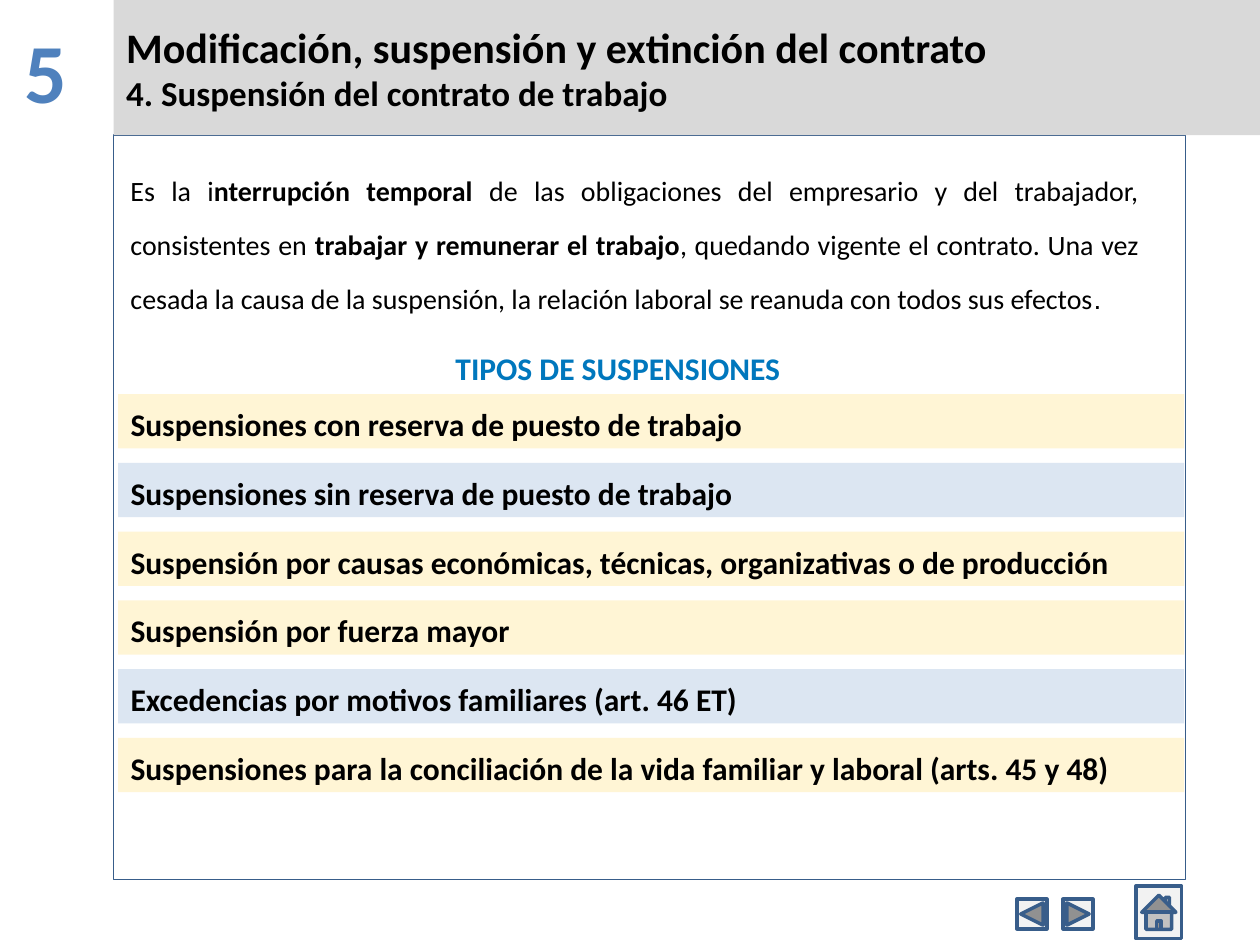
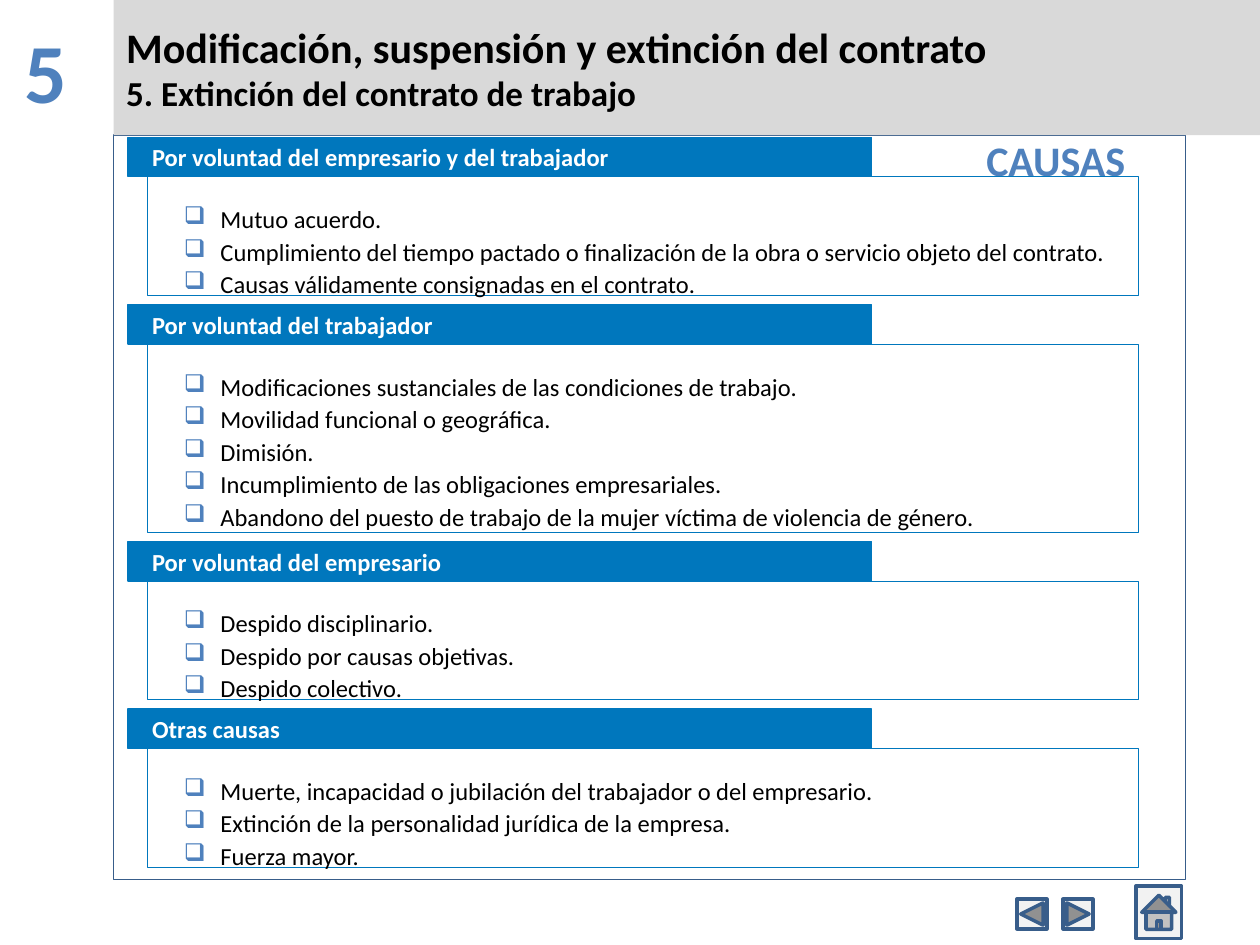
from pptx import Presentation
from pptx.dml.color import RGBColor
from pptx.enum import shapes, text
from pptx.oxml.ns import qn
from pptx.util import Pt
from lxml import etree

hues = {
    "ink": "000000", "white": "FFFFFF", "band": "D9D9D9", "edge": "385D8A",
    "key": "F2F2F2", "mark": "4F81BD", "blue": "0077BD",
    "sand": "FFEAA7", "sky": "DCE6F2",
}
kind = shapes.MSO_SHAPE
side = text.PP_ALIGN
mid = text.MSO_ANCHOR.MIDDLE
low = text.MSO_ANCHOR.BOTTOM


def draw(page, form, box, fill=None, line=None, width=0.75):
    item = page.shapes.add_shape(form, *[Pt(n) for n in box])
    item.shadow.inherit = False
    if fill:
        item.fill.solid()
        item.fill.fore_color.rgb = RGBColor.from_string(hues[fill])
    else:
        item.fill.background()
    if line:
        item.line.color.rgb = RGBColor.from_string(hues[line])
        item.line.width = Pt(width)
    else:
        item.line.fill.background()
    return item


def write(item, *paras, size=18, color="ink", bold=False, align=side.LEFT,
          anchor=text.MSO_ANCHOR.TOP, pad=(7.2, 3.6, 7.2, 3.6), lead=None,
          gap=0, bullet=None):
    frame = item.text_frame
    frame.word_wrap = True
    frame.vertical_anchor = anchor
    (frame.margin_left, frame.margin_top,
     frame.margin_right, frame.margin_bottom) = [Pt(n) for n in pad]
    for i, runs in enumerate(paras):
        para = frame.paragraphs[0] if i == 0 else frame.add_paragraph()
        para.alignment = align
        if lead:
            para.line_spacing = lead
        if gap and i:
            para.space_before = Pt(gap)
        if bullet:
            props = para._p.get_or_add_pPr()
            props.set("marL", str(Pt(41.8)))
            props.set("indent", str(Pt(-20.9)))
            tint = etree.SubElement(props, qn("a:buClr"))
            etree.SubElement(tint, qn("a:srgbClr"), val=hues["mark"])
            etree.SubElement(props, qn("a:buChar"), char=bullet)
        for part in [(runs, {})] if isinstance(runs, str) else runs:
            words, look = part
            run = para.add_run()
            run.text = words
            font = run.font
            font.name = look.get("font", "Calibri")
            font.size = Pt(look.get("size", size))
            font.bold = look.get("bold", bold)
            font.color.rgb = RGBColor.from_string(hues[color])


deck = Presentation()
deck.slide_width, deck.slide_height = Pt(720), Pt(540)

heads = ["4. Suspensión del contrato de trabajo", "5. Extinción del contrato de trabajo"]
keys = [
    (kind.ACTION_BUTTON_BACK_OR_PREVIOUS, (581.2, 513.8, 17, 17)),
    (kind.ACTION_BUTTON_FORWARD_OR_NEXT, (607.5, 513.8, 17, 17)),
    (kind.ACTION_BUTTON_HOME, (649.2, 506.2, 26, 30.2)),
]
pages = []
for head in heads:
    page = deck.slides.add_slide(deck.slide_layouts[6])
    unit = page.shapes.add_textbox(0, 0, Pt(65), Pt(72))
    write(unit, "5", size=48, color="mark", bold=True, align=side.CENTER,
          pad=(7.2, 11.4, 19.4, 3.6))
    draw(page, kind.RECTANGLE, (65, 77.2, 612.5, 425.5), line="edge")
    band = draw(page, kind.RECTANGLE, (65, 0, 655, 77.2), "band")
    write(band, "Modificación, suspensión y extinción del contrato",
          [(head, {"size": 20})], size=24, bold=True, anchor=mid)
    for form, box in keys:
        draw(page, form, box, "key", "edge", 2)
    pages.append(page)

pause, finish = pages

strong = {"bold": True}
intro = pause.shapes.add_textbox(Pt(67.5), Pt(84.2), Pt(590.4), Pt(99.4))
write(intro, [
    ("Es la i", {}),
    ("nterrupción temporal ", strong),
    ("de las obligaciones del empresario y del trabajador, consistentes en ", {}),
    ("trabajar y remunerar el trabajo", strong),
    (", quedando vigente el contrato. Una vez cesada la causa de la suspensión, "
     "la relación laboral se reanuda con todos sus efectos", {}),
    (".", {"font": "Arial"}),
], size=16, align=side.JUSTIFY, lead=1.6)
label = pause.shapes.add_textbox(Pt(253.2), Pt(174.2), Pt(241.2), Pt(50.4))
write(label, "TIPOS DE SUSPENSIONES", color="blue", bold=True, anchor=low)

types = [
    ("Suspensiones con reserva de puesto de trabajo", "sand"),
    ("Suspensiones sin reserva de puesto de trabajo", "sky"),
    ("Suspensión por causas económicas, técnicas, organizativas o de producción", "sand"),
    ("Suspensión por fuerza mayor", "sand"),
    ("Excedencias por motivos familiares (art. 46 ET)", "sky"),
    ("Suspensiones para la conciliación de la vida familiar y laboral (arts. 45 y 48)", "sand"),
]
for i, (name, fill) in enumerate(types):
    bar = draw(pause, kind.RECTANGLE, (67.5, 225.2 + 39.3 * i, 609.2, 31), fill)
    if fill == "sand":
        tint = bar._element.spPr.find(qn("a:solidFill"))[0]
        etree.SubElement(tint, qn("a:alpha"), val="47000")
    write(bar, name, bold=True, anchor=mid, lead=1.15)

title = finish.shapes.add_textbox(Pt(556.5), Pt(73.5), Pt(101.5), Pt(36))
write(title, "CAUSAS", size=24, color="mark", bold=True)

causes = {
    "Por voluntad del empresario y del trabajador": [
        "Mutuo acuerdo.",
        "Cumplimiento del tiempo pactado o finalización de la obra o servicio objeto del contrato.",
        "Causas válidamente consignadas en el contrato.",
    ],
    "Por voluntad del trabajador": [
        "Modificaciones sustanciales de las condiciones de trabajo.",
        "Movilidad funcional o geográfica.",
        "Dimisión.",
        "Incumplimiento de las obligaciones empresariales.",
        "Abandono del puesto de trabajo de la mujer víctima de violencia de género.",
    ],
    "Por voluntad del empresario": [
        "Despido disciplinario.",
        "Despido por causas objetivas.",
        "Despido colectivo.",
    ],
    "Otras causas": [
        "Muerte, incapacidad o jubilación del trabajador o del empresario.",
        "Extinción de la personalidad jurídica de la empresa.",
        "Fuerza mayor.",
    ],
}
top = 78.5
for name, items in causes.items():
    step = 36.3 + 19.8 * len(items)
    tab = draw(finish, kind.RECTANGLE, (73.2, top, 425, 22.5), "blue", "blue")
    write(tab, name, size=14, color="white", bold=True, anchor=mid,
          pad=(13.7, 3.6, 0, 3.6))
    body = draw(finish, kind.RECTANGLE, (84.2, top + 22.6, 566.6, step - 28),
                line="blue", width=0.5)
    write(body, *items, size=14, pad=(0, 15.5, 0, 3.6), gap=1.8, bullet="❑")
    top += step

deck.save("out.pptx")
